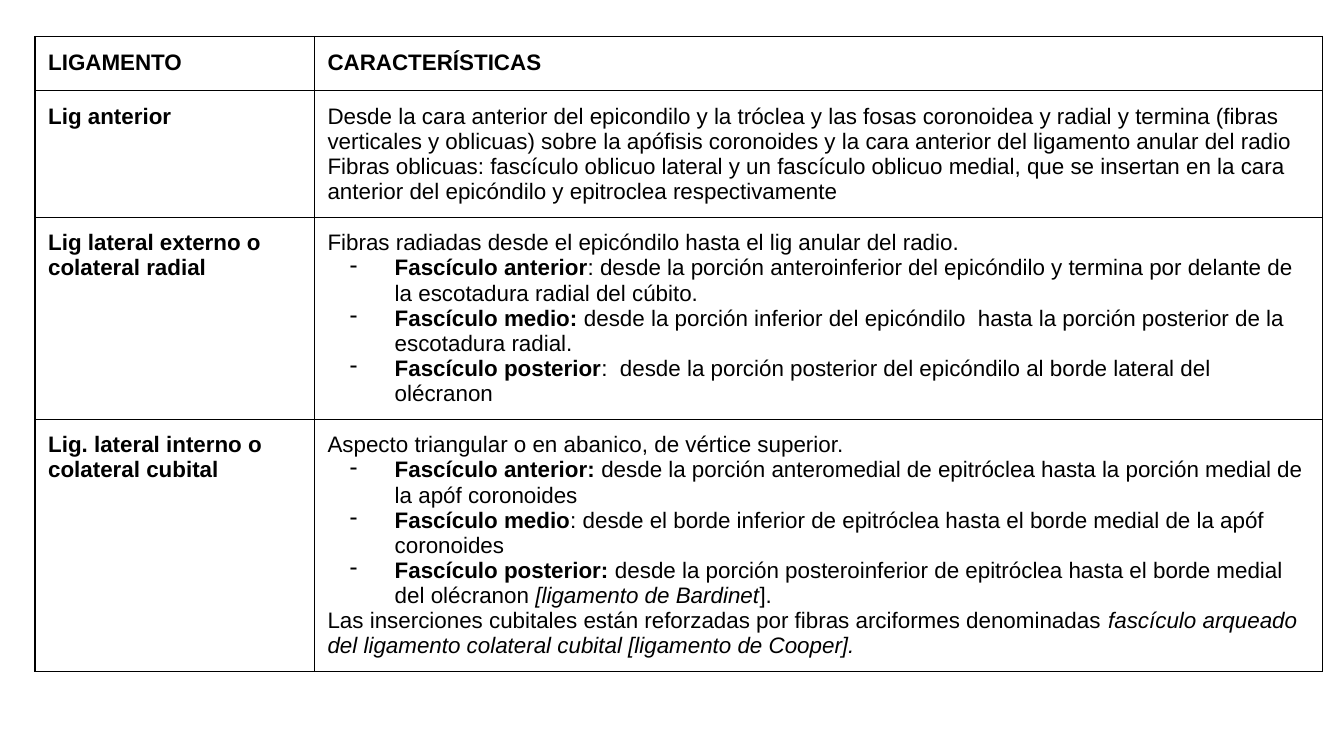
from dataclasses import dataclass

from lxml.etree import SubElement
from pptx import Presentation
from pptx.dml.color import RGBColor
from pptx.enum.text import MSO_ANCHOR
from pptx.oxml import parse_xml
from pptx.oxml.ns import nsdecls, qn
from pptx.table import _Cell
from pptx.text.text import _Paragraph
from pptx.util import Cm, Pt

BLACK = RGBColor(0x00, 0x00, 0x00)
WHITE = RGBColor(0xFF, 0xFF, 0xFF)
FONT_FORMAT = {"name": "Arial", "size": Pt(12)}
CELL_FORMAT = {
    "margin_left": Cm(0.25),
    "margin_right": Cm(0.25),
    "margin_top": Cm(0.25),
    "margin_bottom": Cm(0.25),
    "vertical_anchor": MSO_ANCHOR.TOP,
}
TABLE_FORMAT = {"first_row": False, "horz_banding": False}
COLUMN_WIDTHS = [Cm(5.28), Cm(19.05)]
BORDER_WIDTH = Pt(0.75)
BULLET_MARGIN = Cm(1.27)
BULLET_HANGING = Cm(0.85)


@dataclass
class Span:
    text: str
    bold: bool = False
    italic: bool = False


@dataclass
class Line:
    spans: list[Span]
    bulleted: bool = False


@dataclass
class Ligament:
    name: str
    features: list[Line]
    height: Cm


def plain(text: str) -> Line:
    return Line([Span(text)])


def fascicle(name: str, *details: Span) -> Line:
    return Line([Span(name, bold=True), *details], bulleted=True)


# Content, heading row first
LIGAMENTS = [
    Ligament("LIGAMENTO", [Line([Span("CARACTERÍSTICAS", bold=True)])], Cm(1.02)),
    Ligament("Lig anterior", [
        plain("Desde la cara anterior del epicondilo y la tróclea y las fosas "
              "coronoidea y radial y termina (fibras verticales y oblicuas) sobre la "
              "apófisis coronoides y la cara anterior del ligamento anular del radio"),
        plain("Fibras oblicuas: fascículo oblicuo lateral y un fascículo oblicuo "
              "medial, que se insertan en la cara anterior del epicóndilo y "
              "epitroclea respectivamente"),
    ], Cm(1.93)),
    Ligament("Lig lateral externo o colateral radial", [
        plain("Fibras radiadas desde el epicóndilo hasta el lig anular del radio."),
        fascicle("Fascículo anterior", Span(
            ": desde la porción anteroinferior del epicóndilo y termina por "
            "delante de la escotadura radial del cúbito.")),
        fascicle("Fascículo medio: ", Span(
            "desde la porción inferior del epicóndilo  hasta la porción "
            "posterior de la escotadura radial.")),
        fascicle("Fascículo posterior", Span(
            ":  desde la porción posterior del epicóndilo al borde lateral "
            "del olécranon")),
    ], Cm(1.85)),
    Ligament("Lig. lateral interno o colateral cubital", [
        plain("Aspecto triangular o en abanico, de vértice superior."),
        fascicle("Fascículo anterior:", Span(
            " desde la porción anteromedial de epitróclea hasta la porción "
            "medial de la apóf coronoides")),
        fascicle("Fascículo medio", Span(
            ": desde el borde inferior de epitróclea hasta el borde medial "
            "de la apóf coronoides")),
        fascicle("Fascículo posterior:", Span(
            " desde la porción posteroinferior de epitróclea hasta el borde "
            "medial del olécranon "),
            Span("[ligamento de Bardinet", italic=True), Span("].")),
        Line([
            Span("Las inserciones cubitales están reforzadas por fibras "
                 "arciformes denominadas "),
            Span("fascículo arqueado del ligamento colateral cubital "
                 "[ligamento de Cooper].", italic=True),
        ]),
    ], Cm(2.01)),
]


def add_dash(paragraph: _Paragraph) -> None:
    properties = paragraph._p.get_or_add_pPr()
    properties.set("marL", str(BULLET_MARGIN))
    properties.set("indent", str(-BULLET_HANGING))
    color = SubElement(properties, qn("a:buClr"))
    SubElement(color, qn("a:srgbClr"), val=str(BLACK))
    SubElement(properties, qn("a:buChar"), char="-")


def draw_borders(cell: _Cell) -> None:
    properties = cell._tc.get_or_add_tcPr()
    for position, side in enumerate("LRTB"):
        properties.insert(position, parse_xml(
            f'<a:ln{side} {nsdecls("a")} w="{BORDER_WIDTH}"><a:solidFill>'
            f'<a:srgbClr val="{BLACK}"/></a:solidFill></a:ln{side}>'))


def fill_cell(cell: _Cell, lines: list[Line]) -> None:
    for key, value in CELL_FORMAT.items():
        setattr(cell, key, value)
    cell.fill.solid()
    cell.fill.fore_color.rgb = WHITE
    draw_borders(cell)
    frame = cell.text_frame
    for number, line in enumerate(lines):
        paragraph = frame.add_paragraph() if number else frame.paragraphs[0]
        if line.bulleted:
            add_dash(paragraph)
        for span in line.spans:
            run = paragraph.add_run()
            run.text = span.text
            style = FONT_FORMAT | {"bold": span.bold, "italic": span.italic}
            for key, value in style.items():
                setattr(run.font, key, value)
            run.font.color.rgb = BLACK


def main() -> None:
    presentation = Presentation()
    presentation.slide_width, presentation.slide_height = Cm(25.4), Cm(14.29)
    slide = presentation.slides.add_slide(presentation.slide_layouts[6])

    # Table of the elbow ligaments
    ligament_table = slide.shapes.add_table(
        len(LIGAMENTS), len(COLUMN_WIDTHS), Cm(0.66), Cm(0.69),
        sum(COLUMN_WIDTHS), sum(ligament.height for ligament in LIGAMENTS)).table
    for key, value in TABLE_FORMAT.items():
        setattr(ligament_table, key, value)
    for column, width in zip(ligament_table.columns, COLUMN_WIDTHS):
        column.width = width
    for row, ligament in zip(ligament_table.rows, LIGAMENTS):
        row.height = ligament.height
        fill_cell(row.cells[0], [Line([Span(ligament.name, bold=True)])])
        fill_cell(row.cells[1], ligament.features)

    presentation.save("out.pptx")


if __name__ == "__main__":
    main()
